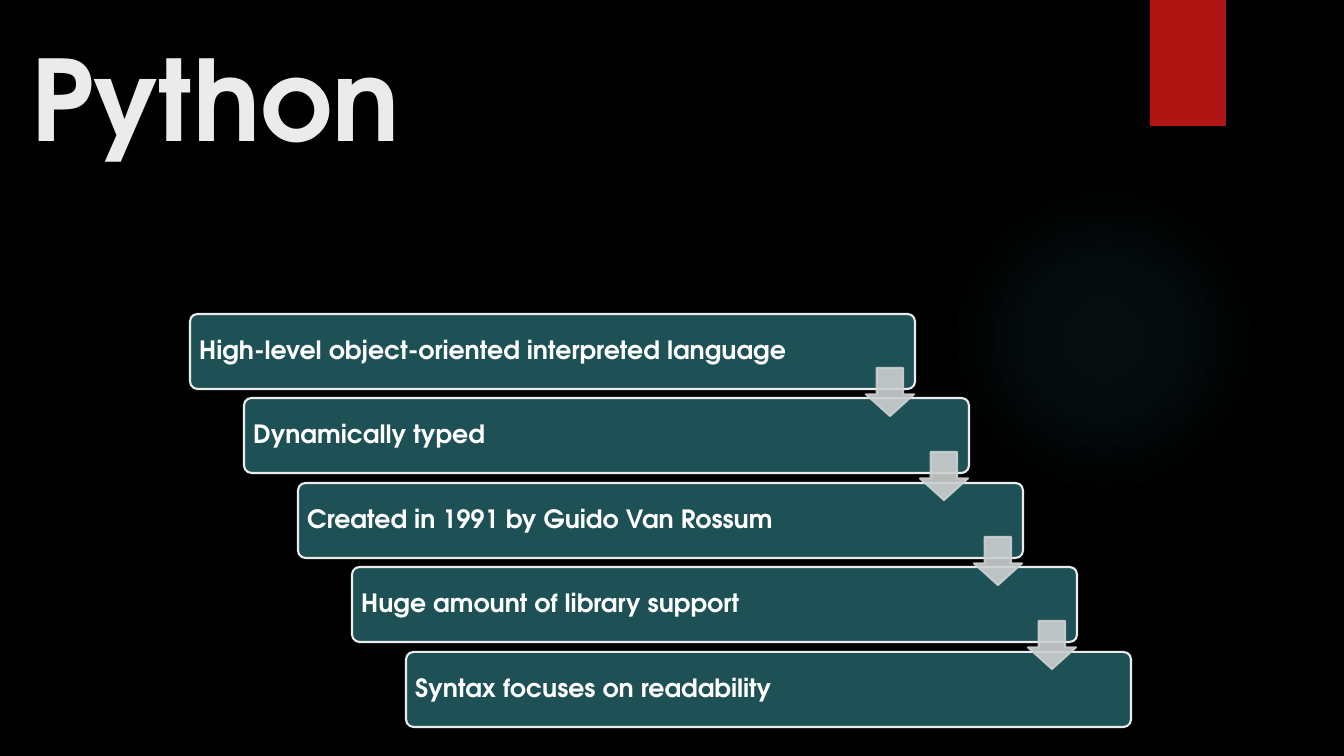
import pptx
import pptx.util
import pptx.dml.color
import pptx.enum.shapes
import pptx.enum.text
import pptx.oxml
import pptx.oxml.ns

PX = 914400 / 100.8
FONT = "TeX Gyre Adventor"
HUES = {"back": "000000", "glow": "50B9C1", "tab": "B01513", "bar": "1E5155",
        "edge": "EBEBEB", "text": "FFFFFF", "arrow": "CDD0D1"}
FACTS = ["High-level object-oriented interpreted language",
         "Dynamically typed",
         "Created in 1991 by Guido Van Rossum",
         "Huge amount of library support",
         "Syntax focuses on readability"]
SHAPE = pptx.enum.shapes.MSO_SHAPE
MIDDLE = pptx.enum.text.MSO_ANCHOR.MIDDLE
LEFT = pptx.enum.text.PP_ALIGN.LEFT


def add_shape(kind, box, fill, line=None):
    """Add a flat shape; box is left, top, width, height in px."""
    shape = slide.shapes.add_shape(kind, *[round(n * PX) for n in box])
    shape.shadow.inherit = False
    shape.fill.solid()
    shape.fill.fore_color.rgb = pptx.dml.color.RGBColor.from_string(HUES[fill])
    if line:
        shape.line.color.rgb = pptx.dml.color.RGBColor.from_string(HUES[line])
        shape.line.width = pptx.util.Pt(1.5)
    else:
        shape.line.fill.background()
    return shape


def add_text(shape, text, size, hue):
    frame = shape.text_frame
    frame.word_wrap = True
    frame.auto_size = pptx.enum.text.MSO_AUTO_SIZE.NONE
    frame.vertical_anchor = MIDDLE
    para = frame.paragraphs[0]
    para.alignment = LEFT
    run = para.add_run()
    run.text = text
    run.font.name = FONT
    run.font.size = pptx.util.Pt(size)
    run.font.bold = True
    run.font.color.rgb = pptx.dml.color.RGBColor.from_string(HUES[hue])


deck = pptx.Presentation()
deck.slide_width = round(1344 * PX)
deck.slide_height = round(756 * PX)
slide = deck.slides.add_slide(deck.slide_layouts[5])
slide.background.fill.solid()
slide.background.fill.fore_color.rgb = pptx.dml.color.RGBColor.from_string(HUES["back"])

# Soft round glow and red tab
glow = add_shape(SHAPE.OVAL, (949, 184, 310, 310), "glow")
stops = "".join(
    f'<a:gs pos="{spot * 1000}"><a:srgbClr val="{HUES["glow"]}">'
    f'<a:alpha val="{alpha * 1000}"/></a:srgbClr></a:gs>'
    for spot, alpha in [(0, 7), (36, 6), (69, 0), (100, 0)])
grad = pptx.oxml.parse_xml(
    f'<a:gradFill {pptx.oxml.ns.nsdecls("a")}><a:gsLst>{stops}</a:gsLst>'
    '<a:path path="circle"><a:fillToRect l="50000" t="50000" r="50000" b="50000"/>'
    '</a:path></a:gradFill>')
solid = glow.element.spPr.find(pptx.oxml.ns.qn("a:solidFill"))
glow.element.spPr.replace(solid, grad)
add_shape(SHAPE.RECTANGLE, (1150, 0, 76, 126), "tab")

title = slide.shapes.title
title.left, title.top, title.width, title.height = [
    round(n * PX) for n in (21, 20, 1037, 154)]
add_text(title, "Python", 80, "edge")

# Staircase of facts
spots = [(190 + 54 * i, 314 + 169 * i // 2) for i in range(len(FACTS))]
for (left, top), fact in zip(spots, FACTS):
    bar = add_shape(SHAPE.ROUNDED_RECTANGLE, (left, top, 725, 75), "bar", "edge")
    bar.adjustments[0] = 0.1
    bar.text_frame.margin_left = round(7 * PX)
    add_text(bar, fact, 18, "text")
    bar.text_frame.paragraphs[0].line_spacing = 0.9

# Arrows from each step to the next
for left, top in spots[:-1]:
    arrow = add_shape(SHAPE.DOWN_ARROW, (left + 676, top + 54, 48, 48), "arrow", "arrow")
    arrow.adjustments[0] = 0.55
    arrow.adjustments[1] = 0.45
    for tint in arrow.element.spPr.iter(pptx.oxml.ns.qn("a:srgbClr")):
        tint.append(pptx.oxml.parse_xml(
            f'<a:alpha {pptx.oxml.ns.nsdecls("a")} val="90000"/>'))

deck.save("out.pptx")
